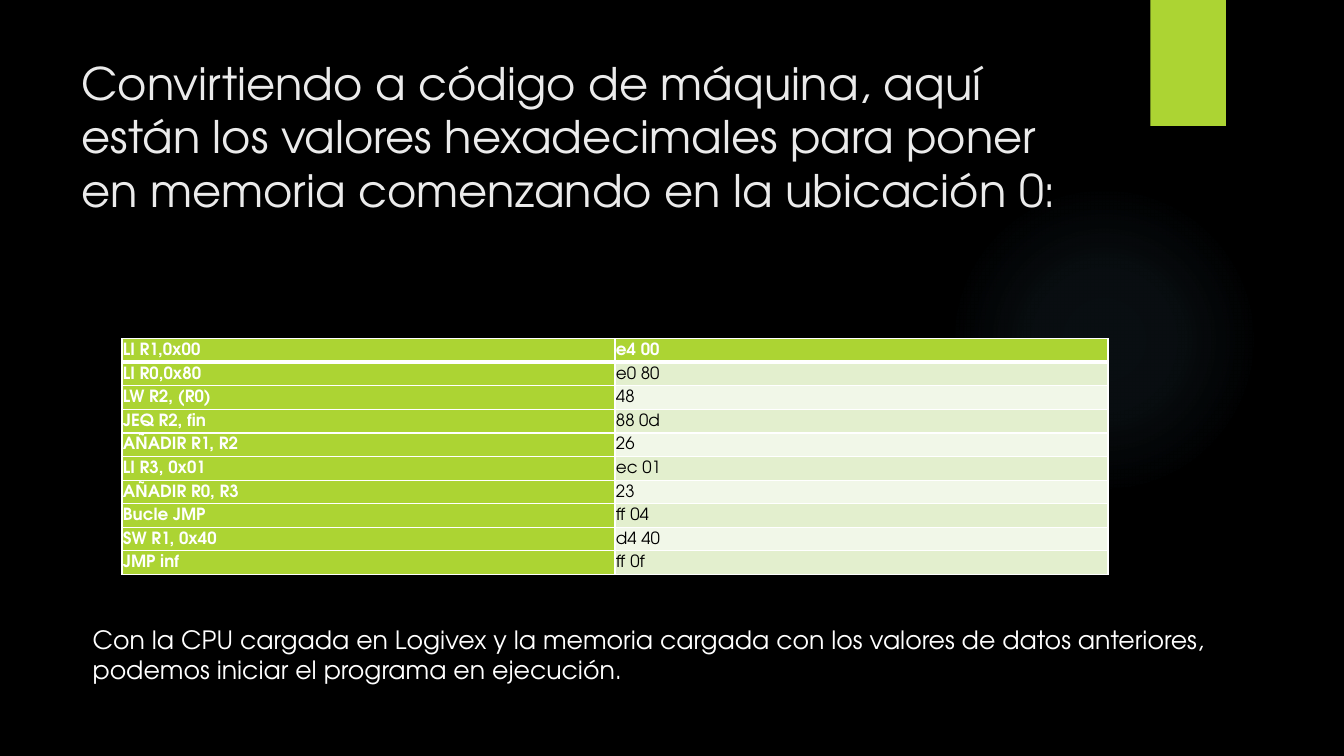
from dataclasses import dataclass

from lxml import etree
from pptx import Presentation
from pptx.dml.color import RGBColor as RGB
from pptx.enum.shapes import MSO_SHAPE as SHAPE
from pptx.enum.text import MSO_ANCHOR as ANCHOR
from pptx.oxml import parse_xml
from pptx.oxml.ns import nsdecls, qn
from pptx.util import Inches, Pt


@dataclass(frozen=True)
class Theme:
    font: str = "TeX Gyre Adventor"
    background: str = "000000"
    accent: str = "ACD433"
    glow: str = "7AC4F0"
    title: str = "EBEBEB"
    light: str = "FFFFFF"
    dark: str = "000000"
    bands: tuple = ("F1F7E8", "E3EFCE")
    title_size: int = 32
    body_size: int = 18
    cell_size: int = 12
    cell_spacing: float = 1.07
    cell_inset: float = 0.01
    thin: int = 1
    thick: int = 3


THEME = Theme()
WIDTH, HEIGHT = Inches(13.33), Inches(7.5)

TITLE = ("Convirtiendo a código de máquina, aquí están los valores hexadecimales "
         "para poner en memoria comenzando en la ubicación 0:")
CLOSING = ("Con la CPU cargada en Logivex y la memoria cargada con los valores de "
           "datos anteriores, podemos iniciar el programa en ejecución.")
PROGRAM = [
    ("LI R1,0x00", "e4 00"),
    ("LI R0,0x80", "e0 80"),
    ("LW R2, (R0)", "48"),
    ("JEQ R2, fin", "88 0d"),
    ("AÑADIR R1, R2", "26"),
    ("LI R3, 0x01", "ec 01"),
    ("AÑADIR R0, R3", "23"),
    ("Bucle JMP", "ff 04"),
    ("SW R1, 0x40", "d4 40"),
    ("JMP inf", "ff 0f"),
]


def box(left, top, width, height):
    return [Inches(v) for v in (left, top, width, height)]


def write(tf, text, size, color, bold=False):
    tf.text = text
    p = tf.paragraphs[0]
    font = p.runs[0].font
    font.name, font.size, font.bold = THEME.font, Pt(size), bold
    font.color.rgb = RGB.from_string(color)
    return p


def add_text(slide, area, text, size, color):
    tf = slide.shapes.add_textbox(*area).text_frame
    tf.word_wrap = True
    write(tf, text, size, color)


def add_block(slide, shape, area, color):
    sp = slide.shapes.add_shape(shape, *area)
    sp.shadow.inherit = False
    sp.line.fill.background()
    sp.fill.solid()
    sp.fill.fore_color.rgb = RGB.from_string(color)
    return sp


def add_glow(slide, area, color, stops):
    sp = add_block(slide, SHAPE.OVAL, area, color)
    gs = "".join(
        f'<a:gs pos="{pos * 1000}"><a:srgbClr val="{color}">'
        f'<a:alpha val="{alpha * 1000}"/></a:srgbClr></a:gs>'
        for pos, alpha in stops)
    gradient = parse_xml(
        f'<a:gradFill {nsdecls("a")}><a:gsLst>{gs}</a:gsLst><a:path path="circle">'
        '<a:fillToRect l="50000" t="50000" r="50000" b="50000"/></a:path></a:gradFill>')
    solid = sp.element.spPr.find(qn("a:solidFill"))
    solid.getparent().replace(solid, gradient)


def set_borders(cell, widths):
    tc_pr = cell._tc.get_or_add_tcPr()
    for side, width in zip("LRTB", widths):
        ln = etree.SubElement(tc_pr, qn(f"a:ln{side}"), w=str(Pt(width)))
        fill = etree.SubElement(ln, qn("a:solidFill"))
        etree.SubElement(fill, qn("a:srgbClr"), val=THEME.light)


def style_cell(cell, text, row, col):
    is_heading = row == 0 or col == 0
    top = THEME.thick if row == 1 else THEME.thin
    bottom = THEME.thick if row == 0 else THEME.thin
    set_borders(cell, (THEME.thin, THEME.thin, top, bottom))
    cell.fill.solid()
    cell.fill.fore_color.rgb = RGB.from_string(
        THEME.accent if is_heading else THEME.bands[row % 2])
    cell.vertical_anchor = ANCHOR.MIDDLE
    inset = Inches(THEME.cell_inset)
    cell.margin_left = cell.margin_right = inset
    cell.margin_top = cell.margin_bottom = inset
    p = write(cell.text_frame, text, THEME.cell_size,
              THEME.light if is_heading else THEME.dark, is_heading)
    p.line_spacing = THEME.cell_spacing


def add_program_table(slide, area, program):
    table = slide.shapes.add_table(len(program), len(program[0]), *area).table
    for r, values in enumerate(program):
        for c, text in enumerate(values):
            style_cell(table.cell(r, c), text, r, c)


def main():
    prs = Presentation()
    prs.slide_width, prs.slide_height = WIDTH, HEIGHT
    slide = prs.slides.add_slide(prs.slide_layouts[6])
    background = slide.background.fill
    background.solid()
    background.fore_color.rgb = RGB.from_string(THEME.background)

    add_glow(slide, box(9.41, 1.83, 3.08, 3.08), THEME.glow,
             [(0, 7), (36, 6), (69, 0), (100, 0)])
    add_block(slide, SHAPE.RECTANGLE, box(11.41, 0, 0.75, 1.25), THEME.accent)
    add_text(slide, box(0.71, 0.5, 10.29, 1.53), TITLE, THEME.title_size, THEME.title)
    add_program_table(slide, box(1.21, 3.36, 9.78, 1.87), PROGRAM)
    add_text(slide, box(0.82, 6.14, 11.4, 1.01), CLOSING, THEME.body_size, THEME.light)
    prs.save("out.pptx")


main()
